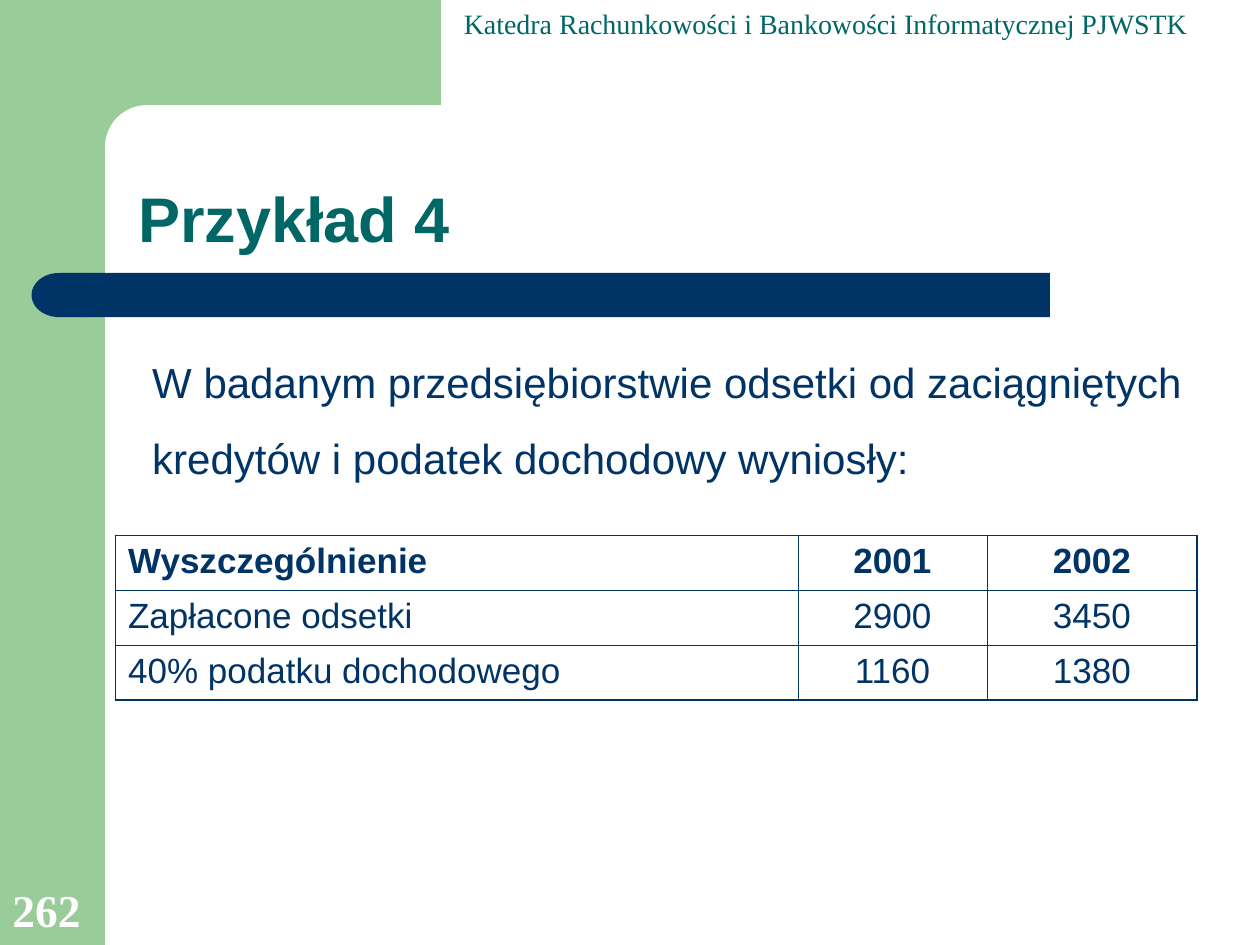
import lxml.etree
import pptx
import pptx.dml.color
import pptx.enum.shapes
import pptx.enum.text
import pptx.oxml.ns
import pptx.util

SHAPES = pptx.enum.shapes.MSO_SHAPE
ANCHOR = pptx.enum.text.MSO_ANCHOR
ALIGN = pptx.enum.text.PP_ALIGN

COLUMNS, ROWS = 120, 90
UNIT = pptx.util.Inches(10) / COLUMNS
GREEN, TEAL, NAVY, WHITE = "99CC99", "006666", "003366", "FFFFFF"
OUTER_LINE, INNER_LINE = 1.08, 0.45


def grid(*counts):
    """Turn grid counts into lengths."""
    return [pptx.util.Emu(round(count * UNIT)) for count in counts]


def colour(value):
    return pptx.dml.color.RGBColor.from_string(value)


def add_block(page, kind, box, fill):
    block = page.shapes.add_shape(kind, *grid(*box))
    block.shadow.inherit = False
    block.fill.solid()
    block.fill.fore_color.rgb = colour(fill)
    block.line.fill.background()
    return block


def add_span(para, text, size, font, ink, bold=False):
    span = para.add_run()
    span.text = text
    span.font.size = pptx.util.Pt(size)
    span.font.name = font
    span.font.bold = bold
    span.font.color.rgb = colour(ink)


def add_text(page, box, text, size, font, ink, bold=False, anchor=ANCHOR.TOP):
    frame = page.shapes.add_textbox(*grid(*box)).text_frame
    frame.word_wrap = True
    frame.vertical_anchor = anchor
    para = frame.paragraphs[0]
    add_span(para, text, size, font, ink, bold)
    return para


def add_backdrop(page, box):
    """Green side and top bands with a rounded inner corner."""
    left, top, width, height = box
    side, band = width / 12, 14
    add_block(page, SHAPES.RECTANGLE, (left, top, side, height), GREEN)
    add_block(page, SHAPES.RECTANGLE, (left + side - 1, top, 33, band), GREEN)
    corner = add_block(page, SHAPES.ROUNDED_RECTANGLE,
                       (left + side, top + band - 4, 67, 8), WHITE)
    corner.adjustments[0] = 0.5


def add_title_bar(page, box):
    """Navy bar with a round left end."""
    left, top, width, height = box
    cap = 5
    add_block(page, SHAPES.RECTANGLE,
              (left + cap, top, width - cap, height), NAVY)
    end = add_block(page, SHAPES.FLOWCHART_DELAY,
                    (left, top, cap + 0.2, height), NAVY)
    end.rotation = 180


def set_border(cell, side, width):
    line = lxml.etree.SubElement(
        cell._tc.get_or_add_tcPr(), pptx.oxml.ns.qn(f"a:{side}"),
        w=str(pptx.util.Pt(width)))
    fill = lxml.etree.SubElement(line, pptx.oxml.ns.qn("a:solidFill"))
    lxml.etree.SubElement(fill, pptx.oxml.ns.qn("a:srgbClr"), val=NAVY)


def add_cost_table(page, box, shares, rows):
    left, top, width, height = box
    table = page.shapes.add_table(
        len(rows), len(shares), *grid(left, top, width, height)).table
    for column, share in zip(table.columns, shares):
        column.width = grid(width * share / sum(shares))[0]
    last_row, last_column = len(rows) - 1, len(shares) - 1
    for r, values in enumerate(rows):
        table.rows[r].height = grid(height / len(rows))[0]
        for c, value in enumerate(values):
            cell = table.cell(r, c)
            edges = {"lnL": c == 0, "lnR": c == last_column,
                     "lnT": r == 0, "lnB": r == last_row}
            for side, outer in edges.items():
                set_border(cell, side, OUTER_LINE if outer else INNER_LINE)
            cell.fill.background()
            para = cell.text_frame.paragraphs[0]
            para.alignment = ALIGN.CENTER if c else ALIGN.LEFT
            add_span(para, value, 20, "Arial", NAVY, bold=r == 0)


def add_example_page(deck):
    page = deck.slides.add_slide(deck.slide_layouts[6])
    add_backdrop(page, (0, 0, COLUMNS, ROWS))
    add_title_bar(page, (3, 26, 97, 4.2))
    add_text(page, (43, 0, 73, 4.4),
             "Katedra Rachunkowości i Bankowości Informatycznej PJWSTK",
             16, "Times New Roman", TEAL)
    title = add_text(page, (12, 10, 105, 15), "Przykład 4",
                     36, "Arial", TEAL, True, ANCHOR.BOTTOM)
    title.line_spacing = 0.9
    body = add_text(page, (12, 31, 105, 18),
                    "W badanym przedsiębiorstwie odsetki od zaciągniętych "
                    "kredytów i podatek dochodowy wyniosły:",
                    24, "Arial", NAVY)
    body.line_spacing = 1.5
    body._p.get_or_add_pPr().set("marL", str(pptx.util.Inches(0.11)))
    add_cost_table(page, (11, 51, 103, 15.7), (65, 18, 20), [
        ("Wyszczególnienie", "2001", "2002"),
        ("Zapłacone odsetki", "2900", "3450"),
        ("40% podatku dochodowego", "1160", "1380"),
    ])
    add_text(page, (0, 83.3, 10, 6.5), "262",
             26, "Times New Roman", WHITE, True, ANCHOR.BOTTOM)


def main():
    deck = pptx.Presentation()
    deck.slide_width, deck.slide_height = grid(COLUMNS, ROWS)
    add_example_page(deck)
    deck.save("out.pptx")


if __name__ == "__main__":
    main()
